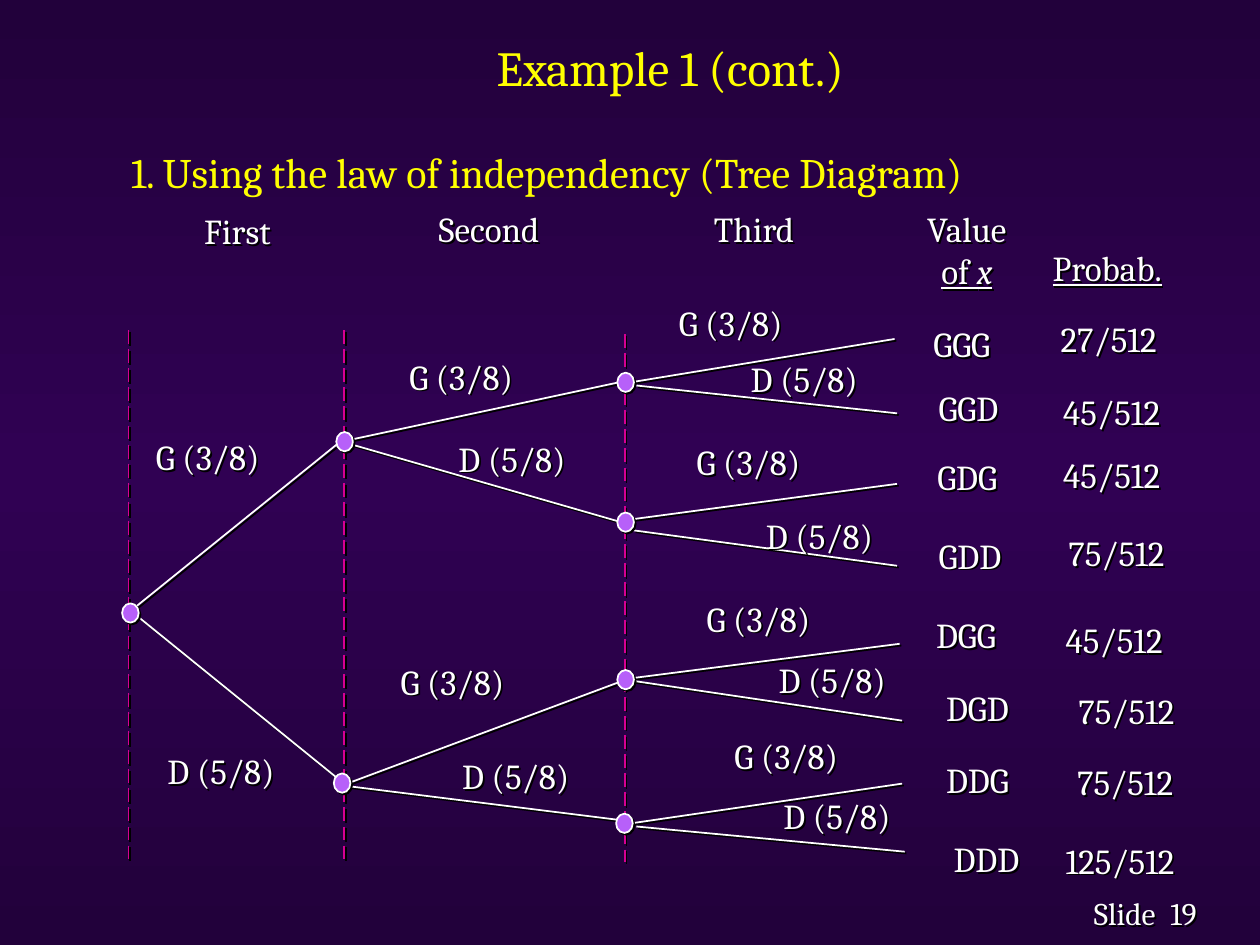
import copy

import pptx
import pptx.dml.color
import pptx.enum.dml
import pptx.enum.shapes
import pptx.enum.text
import pptx.oxml
import pptx.oxml.ns
import pptx.util

Pt = pptx.util.Pt
RGBColor = pptx.dml.color.RGBColor
ALIGN = pptx.enum.text.PP_ALIGN
ANCHOR = pptx.enum.text.MSO_ANCHOR

FONT = "Cambria"
WHITE = RGBColor(0xFF, 0xFF, 0xFF)
YELLOW = RGBColor(0xFF, 0xFF, 0x00)
MAGENTA = RGBColor(0xD6, 0x00, 0x93)
VIOLET = RGBColor(0xB7, 0x60, 0xF9)
DARK = RGBColor(0x22, 0x01, 0x3B)
MIDDLE = RGBColor(0x30, 0x01, 0x53)

# Content: all positions in points
TITLE = "Example 1 (cont.)"
SUBTITLE = "1. Using the law of independency (Tree Diagram)"
BRANCH_LABELS = ("G (3/8)", "D (5/8)")
NODE_SIZE = (9.5, 11)

# Stage headings: text, left, top, width
HEADINGS = [
    ("First", 107.7, 116.2, 56),
    ("Second", 240.5, 115.2, 78),
    ("Third", 398.9, 115.2, 64),
    ("Value\nof x", 519.5, 115.2, 66),
    ("Probab.", 591.7, 137.5, 82),
]

# Dashed stage lines: x, top, bottom
STAGE_LINES = [(73.4, 188.6, 491), (196.6, 188.6, 491), (357.1, 190.8, 492.5)]

# Nodes: centre, then the G and D branches as (start, end, label corner)
TREE = [
    ((74.5, 350.3), [((76.3, 347.8), (192.2, 254.2), (82, 245.5)),
                     ((78.5, 352.1), (192.2, 444.2), (88.6, 424.8))]),
    ((196.9, 252.4), [((200.2, 251.3), (355, 218.2), (226.8, 199.4)),
                      ((201.6, 254.2), (356.4, 298.8), (254.9, 246.2))]),
    ((195.5, 447.5), [((200.2, 447.1), (356.4, 388.8), (221.8, 373.7)),
                      ((199.4, 449.3), (355, 468.7), (257, 427.7))]),
    ((357.5, 218.5), [((357.8, 218.9), (511.2, 193.7), (380.9, 168.5)),
                      ((363.6, 220.3), (512.6, 236.2), (421.9, 200.9))]),
    ((357.5, 298.4), [((362.2, 296.6), (512.6, 276.5), (391, 248.4)),
                      ((362.2, 303.1), (512.6, 323.3), (430.6, 290.2))]),
    ((357.5, 388.4), [((362.2, 387.4), (514.1, 367.9), (396.7, 337.7)),
                      ((360, 388.8), (515.5, 411.8), (437.8, 373))]),
    ((356.8, 470.5), [((357.8, 470.9), (515.5, 447.8), (412.6, 416.2)),
                      ((363.6, 472.3), (517, 486.7), (440.6, 450.7))]),
]

# Outcomes: sequence and its corner, probability and its corner
OUTCOMES = [
    ("GGG", (526.3, 180.7), "27/512", (599, 177.8)),
    ("GGD", (529.2, 217.4), "45/512", (600.5, 219.6)),
    ("GDG", (528.5, 257), "45/512", (600.5, 255.6)),
    ("GDD", (529.2, 301.7), "75/512", (603.4, 300.2)),
    ("DGG", (527.8, 347), "45/512", (601.9, 349.9)),
    ("DGD", (533.5, 388.8), "75/512", (609.1, 390.2)),
    ("DDG", (533.5, 429.8), "75/512", (608.4, 431.3)),
    ("DDD", (537.8, 475.2), "125/512", (601.9, 475.9)),
]

# Footer: text, left, top, width
FOOTER = [("Slide", 618, 507.6, 56), ("19", 661.7, 507.6, 38)]

SHADOW = (
    '<a:effectLst %s><a:outerShdw dist="17961" dir="2700000" algn="ctr" rotWithShape="0">'
    '<a:srgbClr val="000000"/></a:outerShdw></a:effectLst>' % pptx.oxml.ns.nsdecls("a")
)


def add_shadow(shape):
    shape._element.spPr.append(pptx.oxml.parse_xml(SHADOW))


def format_runs(text_frame, size, color):
    for paragraph in text_frame.paragraphs:
        for run in paragraph.runs:
            run.font.name = FONT
            run.font.size = Pt(size)
            run.font.color.rgb = color


def add_label(slide, text, left, top, width, size=20, align=ALIGN.LEFT):
    box = slide.shapes.add_textbox(Pt(left), Pt(top), Pt(width), Pt(31))
    box.text_frame.word_wrap = False
    box.text_frame.text = text
    for paragraph in box.text_frame.paragraphs:
        paragraph.alignment = align
    format_runs(box.text_frame, size, WHITE)
    add_shadow(box)
    return box


def add_line(slide, start, end, color):
    line = slide.shapes.add_connector(
        pptx.enum.shapes.MSO_CONNECTOR.STRAIGHT, *[Pt(value) for value in (*start, *end)])
    line.line.color.rgb = color
    line.line.width = Pt(1)
    add_shadow(line)
    return line


def add_node(slide, center):
    width, height = NODE_SIZE
    node = slide.shapes.add_shape(
        pptx.enum.shapes.MSO_SHAPE.OVAL, Pt(center[0] - width / 2),
        Pt(center[1] - height / 2), Pt(width), Pt(height))
    node.fill.solid()
    node.fill.fore_color.rgb = VIOLET
    node.line.color.rgb = WHITE
    node.line.width = Pt(1)
    add_shadow(node)


def fill_placeholder(shape, text, bounds, size, anchor):
    shape.left, shape.top, shape.width, shape.height = [Pt(value) for value in bounds]
    frame = shape.text_frame
    frame.text = text
    frame.auto_size = pptx.enum.text.MSO_AUTO_SIZE.NONE
    frame.vertical_anchor = anchor
    format_runs(frame, size, YELLOW)
    return frame.paragraphs[0]


def set_background(slide):
    fill = slide.background.fill
    fill.gradient()
    fill.gradient_angle = 90
    stop_list = slide._element.xpath(".//a:gsLst")[0]
    stop_list.insert(1, copy.deepcopy(stop_list[0]))
    for stop, position, color in zip(fill.gradient_stops, (0, 0.5, 1), (DARK, MIDDLE, DARK)):
        stop.position = position
        stop.color.rgb = color


def main():
    presentation = pptx.Presentation()
    presentation.slide_width, presentation.slide_height = Pt(720), Pt(540)
    slide = presentation.slides.add_slide(presentation.slide_layouts[1])
    set_background(slide)

    # Title and subtitle
    title = fill_placeholder(
        slide.shapes.title, TITLE, (97.9, 14.4, 570.2, 47.5), 28, ANCHOR.MIDDLE)
    title.alignment = ALIGN.CENTER
    subtitle = fill_placeholder(
        slide.placeholders[1], SUBTITLE, (67.7, 79.9, 612, 427.7), 24, ANCHOR.TOP)
    subtitle.space_before = Pt(0)
    properties = subtitle._p.get_or_add_pPr()
    properties.set("marL", str(Pt(27)))
    properties.set("indent", str(-Pt(27)))
    properties.append(properties.makeelement(pptx.oxml.ns.qn("a:buNone")))

    # Column headings
    headings = {text: add_label(slide, text, *place, align=ALIGN.CENTER)
                for text, *place in HEADINGS}
    headings["Probab."].text_frame.paragraphs[0].runs[0].font.underline = True
    value_line = headings["Value\nof x"].text_frame.paragraphs[1]
    value_line.runs[0].text = "of "
    value_line.add_run().text = "x"
    format_runs(headings["Value\nof x"].text_frame, 20, WHITE)
    for run in value_line.runs:
        run.font.underline = True
    value_line.runs[1].font.italic = True

    # Stage lines
    for x, top, bottom in STAGE_LINES:
        stage = add_line(slide, (x, top), (x, bottom), MAGENTA)
        stage.line.dash_style = pptx.enum.dml.MSO_LINE.LONG_DASH

    # Tree: branches first, then nodes and labels above them
    for center, branches in TREE:
        for start, end, corner in branches:
            add_line(slide, start, end, WHITE)
    for center, branches in TREE:
        add_node(slide, center)
        for text, (start, end, corner) in zip(BRANCH_LABELS, branches):
            add_label(slide, text, *corner, 80)

    # Outcomes and footer
    for sequence, sequence_corner, probability, probability_corner in OUTCOMES:
        add_label(slide, sequence, *sequence_corner, 60)
        add_label(slide, probability, *probability_corner, 88)
    for text, *place in FOOTER:
        add_label(slide, text, *place, size=18)

    presentation.save("out.pptx")


if __name__ == "__main__":
    main()
